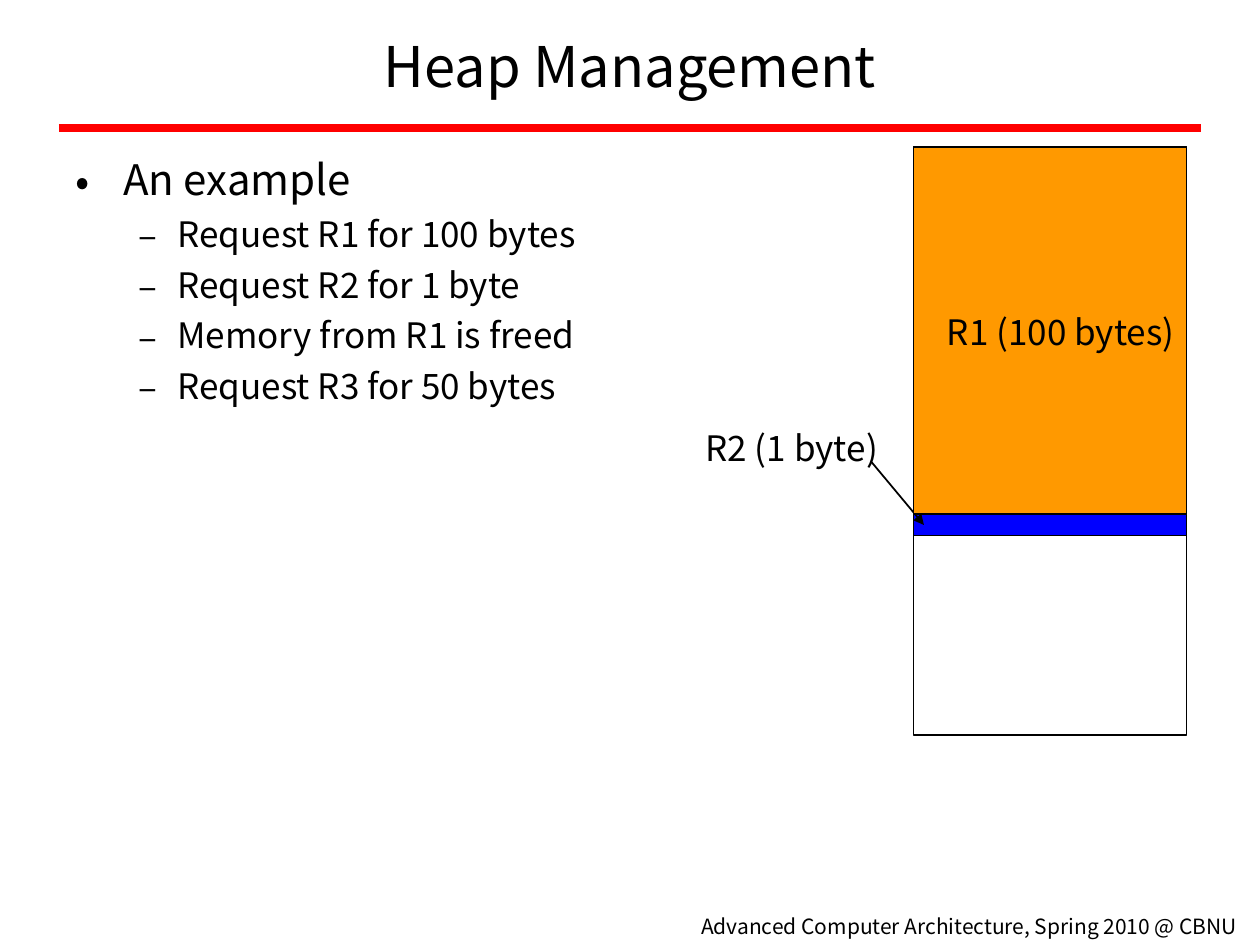
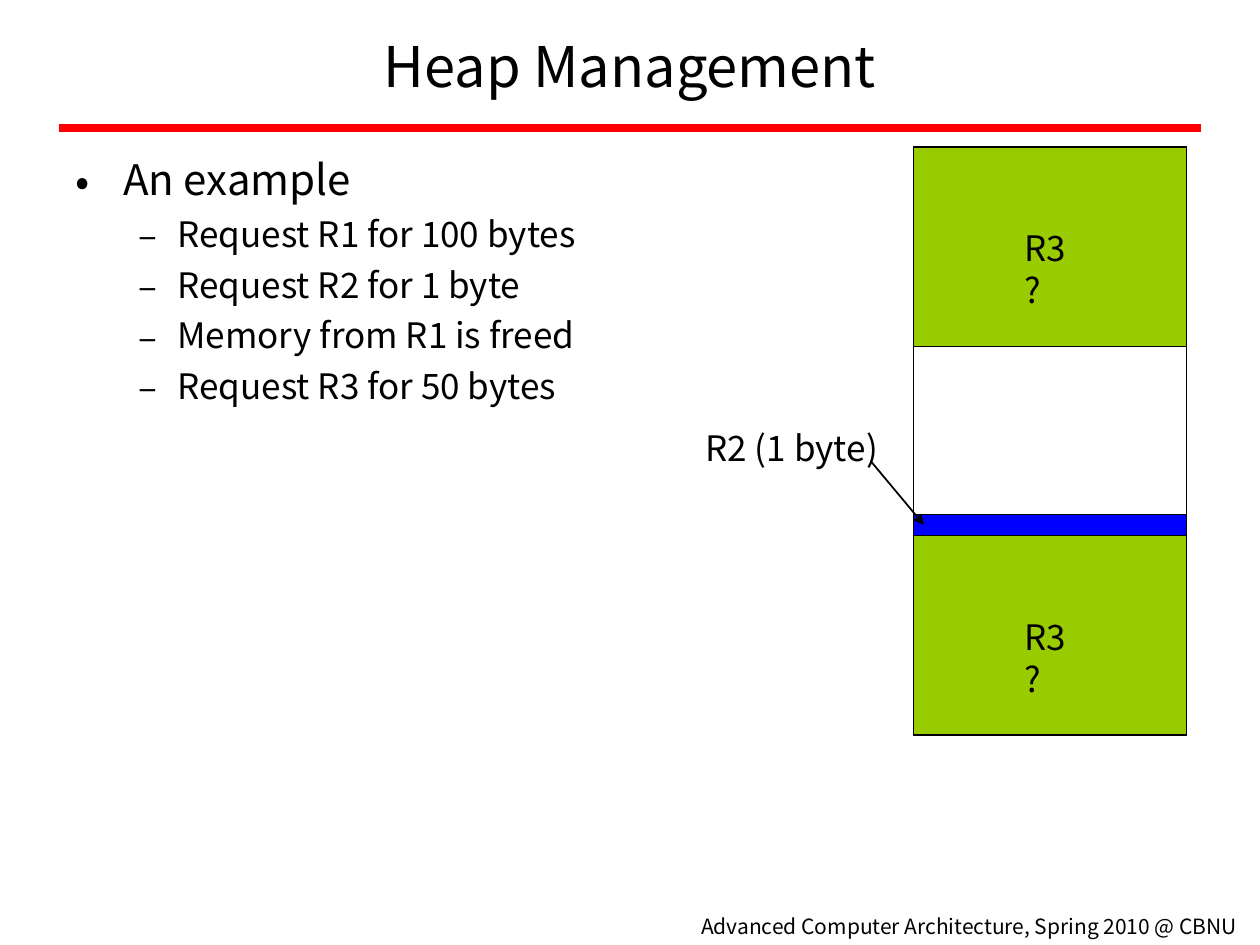
from lxml import etree
from pptx import Presentation
from pptx import util as u
from pptx.dml.color import RGBColor
from pptx.enum import shapes, text
from pptx.oxml.ns import qn

# Shared style
FONT = "Noto Sans CJK KR"
BLACK = RGBColor(0x00, 0x00, 0x00)
RED = RGBColor(0xFF, 0x00, 0x00)
BLUE = RGBColor(0x00, 0x00, 0xFF)
ORANGE = RGBColor(0xFF, 0x99, 0x00)
GREEN = RGBColor(0x99, 0xCC, 0x00)

# Grid: 120 columns by 90 rows, twelve to the inch
HEAP_LEFT, HEAP_WIDTH = 87, 26
HEAP_TOP, HEAP_ROWS = 14, 56
R1_ROWS, R2_ROWS, R3_ROWS = 35, 2, 19
R2_TOP = HEAP_TOP + R1_ROWS
TITLE = "Heap Management"
FOOTER = "Advanced Computer Architecture, Spring 2010 @ CBNU"
EXAMPLE_STEPS = [
    "Request R1 for 100 bytes",
    "Request R2 for 1 byte",
    "Memory from R1 is freed",
    "Request R3 for 50 bytes",
]
# Outline levels: bullet, text indent and hanging in inches, size and space before in points
LEVELS = [("•", 0.38, 0.38, 24, 6), ("–", 0.81, 0.31, 20, 5)]


def grid(*cells):
    return [u.Inches(cell / 12) for cell in cells]


def style_font(paragraph, size):
    for name, value in {"name": FONT, "size": u.Pt(size), "bold": False}.items():
        setattr(paragraph.font, name, value)
    paragraph.font.color.rgb = BLACK


def add_label(slide, words, area, size=20, wrap=False):
    frame = slide.shapes.add_textbox(*grid(*area)).text_frame
    frame.word_wrap = wrap
    frame.text = words
    style_font(frame.paragraphs[0], size)


def add_rule(slide, ends, color, width, arrow=False):
    rule = slide.shapes.add_connector(shapes.MSO_CONNECTOR.STRAIGHT, *grid(*ends))
    rule.line.color.rgb = color
    rule.line.width = u.Pt(width)
    if arrow:
        etree.SubElement(rule.line._get_or_add_ln(), qn("a:tailEnd"), type="triangle")
    etree.SubElement(rule._element.spPr, qn("a:effectLst"))


def add_block(slide, top, rows, color=None):
    block = slide.shapes.add_shape(
        shapes.MSO_SHAPE.RECTANGLE, *grid(HEAP_LEFT, top, HEAP_WIDTH, rows))
    block.shadow.inherit = False
    if color is None:
        block.fill.background()
    else:
        block.fill.solid()
        block.fill.fore_color.rgb = color
    block.line.color.rgb = BLACK
    block.line.width = u.Pt(1)


def add_outline_item(frame, words, level):
    bullet, indent, hanging, size, before = LEVELS[level]
    first = not frame.text
    item = frame.paragraphs[0] if first else frame.add_paragraph()
    item.text = words
    item.level = level
    if not first:
        item.space_before = u.Pt(before)
    props = item._p.get_or_add_pPr()
    props.set("marL", str(u.Inches(indent)))
    props.set("indent", str(-u.Inches(hanging)))
    etree.SubElement(props, qn("a:buFont"), typeface=FONT)
    etree.SubElement(props, qn("a:buChar"), char=bullet)
    style_font(item, size)


def add_heap_slide(prs):
    slide = prs.slides.add_slide(prs.slide_layouts[5])

    # Title, red rule and footer
    title = slide.shapes.title
    title.left, title.top, title.width, title.height = grid(6, 1, 108, 10.4)
    title.text_frame.text = TITLE
    title.text_frame.vertical_anchor = text.MSO_ANCHOR.MIDDLE
    heading = title.text_frame.paragraphs[0]
    heading.alignment = text.PP_ALIGN.CENTER
    style_font(heading, 32)
    add_rule(slide, (5.6, 12.2, 114.4, 12.2), RED, 5)
    add_label(slide, FOOTER, (65.6, 86.4, 54.4, 3.6), size=12, wrap=True)

    # Example steps
    steps = slide.shapes.add_textbox(*grid(6, HEAP_TOP, 108, 71.3)).text_frame
    steps.word_wrap = True
    add_outline_item(steps, "An example", 0)
    for step in EXAMPLE_STEPS:
        add_outline_item(steps, step, 1)

    # Heap with the R2 byte
    add_block(slide, HEAP_TOP, HEAP_ROWS)
    add_block(slide, R2_TOP, R2_ROWS, BLUE)
    add_label(slide, "R2 (1 byte)", (66, 40, 18.8, 5.3))
    add_rule(slide, (83, 44, HEAP_LEFT + 1, R2_TOP + 1), BLACK, 1, arrow=True)
    return slide


def main():
    prs = Presentation()
    prs.slide_width, prs.slide_height = grid(120, 90)

    # R1 is held
    held = add_heap_slide(prs)
    add_block(held, HEAP_TOP, R1_ROWS, ORANGE)
    add_label(held, "R1 (100 bytes)", (HEAP_LEFT + 2, HEAP_TOP + 15, 24.2, 5.3))

    # R1 is freed: two places for R3
    freed = add_heap_slide(prs)
    for top in (R2_TOP + R2_ROWS, HEAP_TOP):
        add_block(freed, top, R3_ROWS, GREEN)
        add_label(freed, "R3?", (96.4, top + 7, 7.2, 5.3), wrap=True)

    prs.save("out.pptx")


if __name__ == "__main__":
    main()
